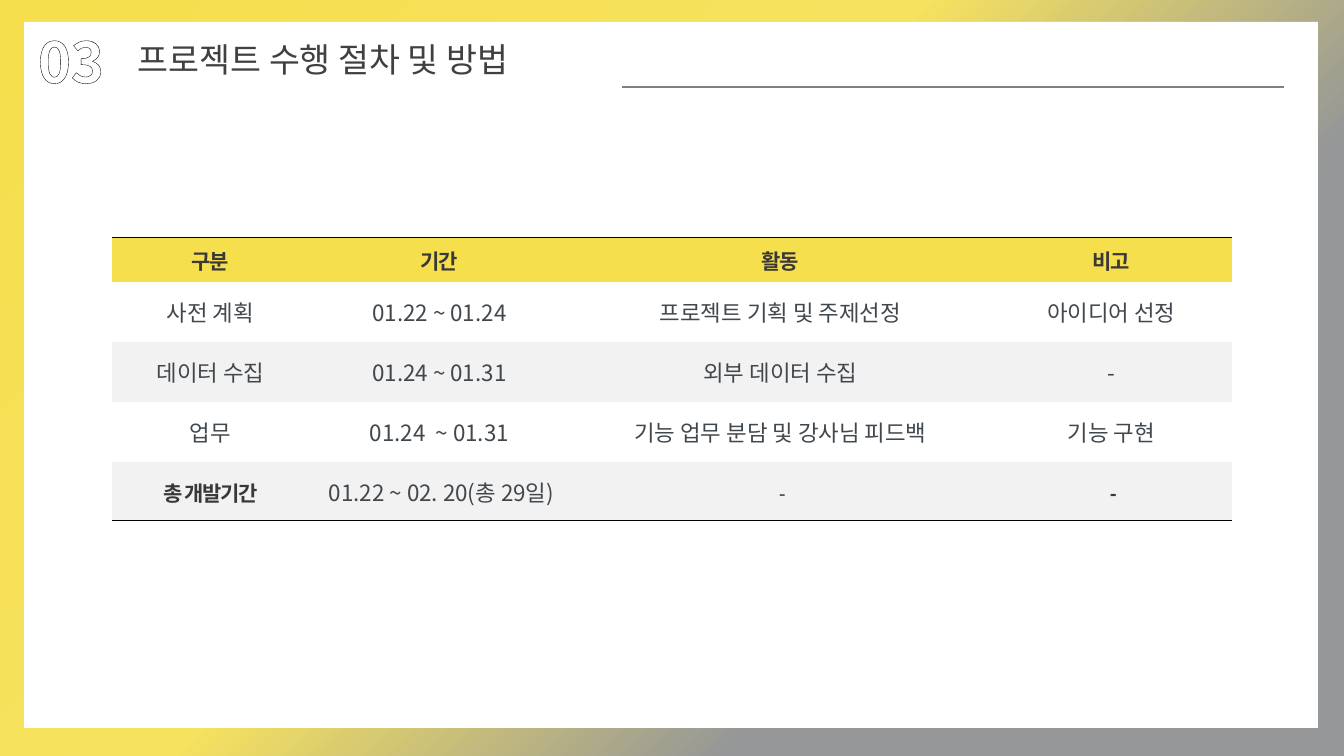
from lxml.etree import SubElement
from pptx import Presentation
from pptx.dml.color import RGBColor as Rgb
from pptx.enum.dml import MSO_PATTERN as Pattern
from pptx.enum.shapes import MSO_CONNECTOR as Connector, MSO_SHAPE as Shape
from pptx.enum.text import MSO_ANCHOR as Anchor, PP_ALIGN as Align
from pptx.oxml.ns import qn
from pptx.util import Pt

EMU_PER_PX = 914400 / 100.8
COLORS = {
    "white": "FFFFFF", "black": "000000", "yellow": "F5DF4D", "band": "F2F2F2",
    "strong": "3B3838", "body": "40474D", "title": "404040", "rule": "808080",
}
BACKDROP = [(0, "F5DF4D"), (44, "F6E25F"), (71, "949698"), (100, "939597")]
KOREAN, LATIN = "Noto Sans CJK KR", "Calibri"
NO_GRID_STYLE = "{2D5ABB26-0587-4C30-8999-92F81FD0307C}"

COLUMN_WIDTHS = [197, 261, 421, 241]
ROW_HEIGHTS = [45, 60, 60, 60, 59]
SCHEDULE = [
    ["구분", "기간", "활동", "비고"],
    ["사전 계획", "01.22 ~ 01.24", "프로젝트 기획 및 주제선정", "아이디어 선정"],
    ["데이터 수집", "01.24 ~ 01.31", "외부 데이터 수집", "-"],
    ["업무", "01.24  ~ 01.31", "기능 업무 분담 및 강사님 피드백", "기능 구현"],
    ["총 개발기간", "01.22 ~ 02. 20(총 29일)", "-", "-"],
]
LAST_ROW = len(SCHEDULE) - 1


def px(*lengths):
    """Turn pixel lengths into EMU."""
    return [round(length * EMU_PER_PX) for length in lengths]


def rgb(name):
    return Rgb.from_string(COLORS[name])


def add_span(para, text, size, color, face=KOREAN, bold=False):
    span = para.add_run()
    span.text = text
    font = span.font
    font.size, font.name, font.bold = Pt(size), face, bold
    font.color.rgb = rgb(color)
    SubElement(font._element, qn("a:ea"), typeface=face)
    return span


def add_line_fill(parent, tag, points):
    """Put a solid black line as the first child of the given properties."""
    line = SubElement(parent, qn(tag), w=str(Pt(points)))
    SubElement(SubElement(line, qn("a:solidFill")), qn("a:srgbClr"), val=COLORS["black"])
    parent.insert(0, line)


def paint_background(page):
    fill = page.background.fill
    fill.gradient()
    fill.gradient_angle = 315
    stops = next(page._element.iter(qn("a:gsLst")))
    for old_stop in list(stops):
        stops.remove(old_stop)
    for percent, color in BACKDROP:
        stop = SubElement(stops, qn("a:gs"), pos=str(percent * 1000))
        SubElement(stop, qn("a:srgbClr"), val=color)


def add_panel(page, *frame):
    panel = page.shapes.add_shape(Shape.RECTANGLE, *px(*frame))
    panel.shadow.inherit = False
    panel.fill.solid()
    panel.fill.fore_color.rgb = rgb("white")
    panel.line.fill.background()


def add_label(page, frame, text, size, color, wrap, bold=False):
    box = page.shapes.add_textbox(*px(*frame))
    box.text_frame.word_wrap = wrap
    return add_span(box.text_frame.paragraphs[0], text, size, color, bold=bold)


def outline_number(span):
    fill = span.font.fill
    fill.patterned()
    fill.pattern = Pattern.DARK_UPWARD_DIAGONAL
    fill.fore_color.rgb = rgb("strong")
    fill.back_color.rgb = rgb("white")
    add_line_fill(span.font._element, "a:ln", 1.25)


def add_rule(page, *ends):
    rule = page.shapes.add_connector(Connector.STRAIGHT, *px(*ends))
    rule.line.color.rgb = rgb("rule")
    rule.line.width = Pt(1)
    SubElement(rule._element.spPr, qn("a:effectLst"))


def fill_cell(cell, row, column, text):
    is_header, is_total = row == 0, row == LAST_ROW
    is_strong = is_header or (is_total and column != 1)
    if is_total and column > 0:
        margins = px(4, 0, 0, 0)
    else:
        side = 9 if is_strong else 5
        margins = px(side, 5, side, 5)
    cell.margin_left, cell.margin_top, cell.margin_right, cell.margin_bottom = margins
    cell.vertical_anchor = Anchor.MIDDLE

    para = cell.text_frame.paragraphs[0]
    para.alignment = Align.CENTER
    if is_strong:
        para.line_spacing = 1.2
        bold = not (is_total and column == 2)
        span = add_span(para, text, 15, "strong", LATIN, bold)
        span.font._element.set("spc", "-100")
    else:
        add_span(para, text, 16, "body")

    cell.fill.solid()
    band = "white" if row % 2 else "band"
    cell.fill.fore_color.rgb = rgb("yellow" if is_header else band)
    if is_header or is_total:
        edge = "a:lnT" if is_header else "a:lnB"
        add_line_fill(cell._tc.get_or_add_tcPr(), edge, 0.75)


def add_schedule(page, left, top):
    frame = px(left, top, sum(COLUMN_WIDTHS), sum(ROW_HEIGHTS))
    table = page.shapes.add_table(len(SCHEDULE), len(COLUMN_WIDTHS), *frame).table
    table.first_row = table.horz_banding = False
    next(table._tbl.iter(qn("a:tableStyleId"))).text = NO_GRID_STYLE
    for column, width in zip(table.columns, px(*COLUMN_WIDTHS)):
        column.width = width
    for row, height in zip(table.rows, px(*ROW_HEIGHTS)):
        row.height = height
    for row, texts in enumerate(SCHEDULE):
        for column, text in enumerate(texts):
            fill_cell(table.cell(row, column), row, column, text)


def main():
    deck = Presentation()
    deck.slide_width, deck.slide_height = px(1344, 756)
    page = deck.slides.add_slide(deck.slide_layouts[6])
    paint_background(page)
    add_panel(page, 24, 22, 1294, 706)
    add_schedule(page, 112, 237)
    number = add_label(page, (28, 22, 128, 78), "03", 40, "strong", True, bold=True)
    outline_number(number)
    add_label(page, (128, 34, 462, 50), "프로젝트 수행 절차 및 방법", 24, "title", False)
    add_rule(page, 622, 87, 1284, 87)
    deck.save("out.pptx")


if __name__ == "__main__":
    main()
